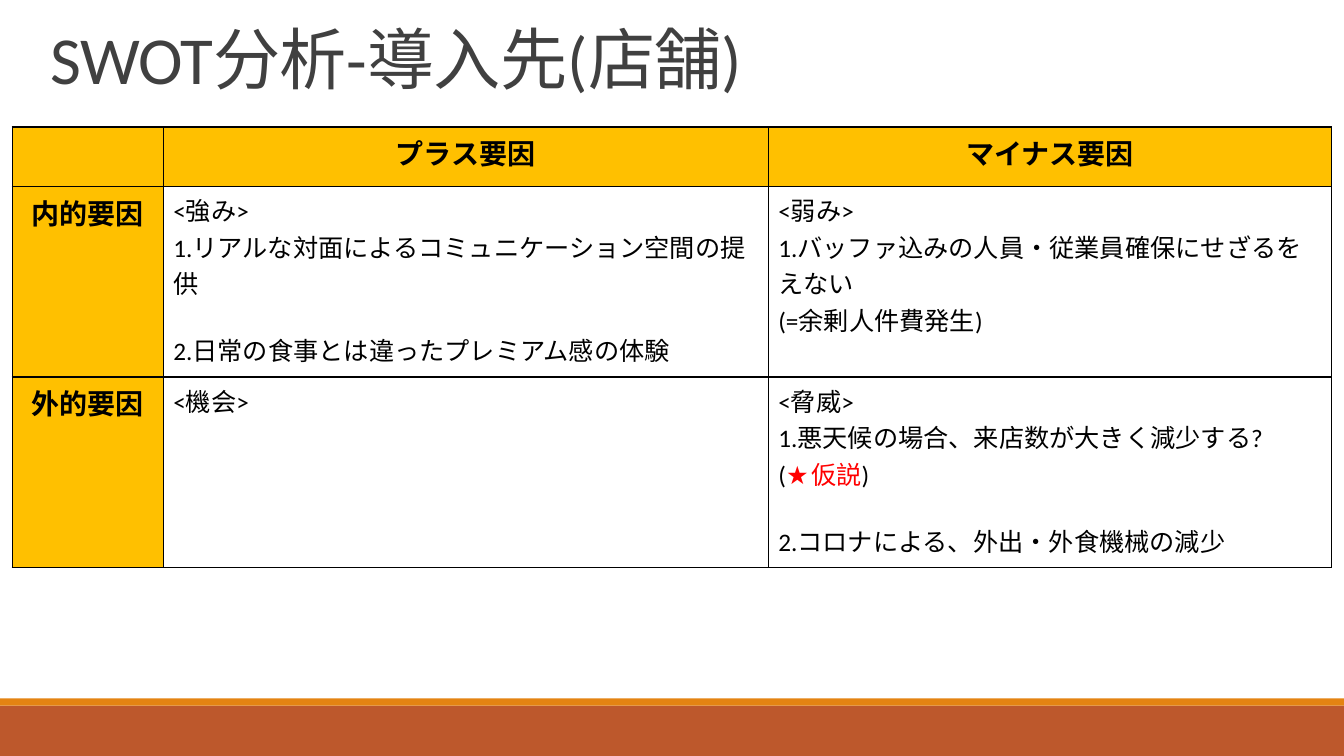
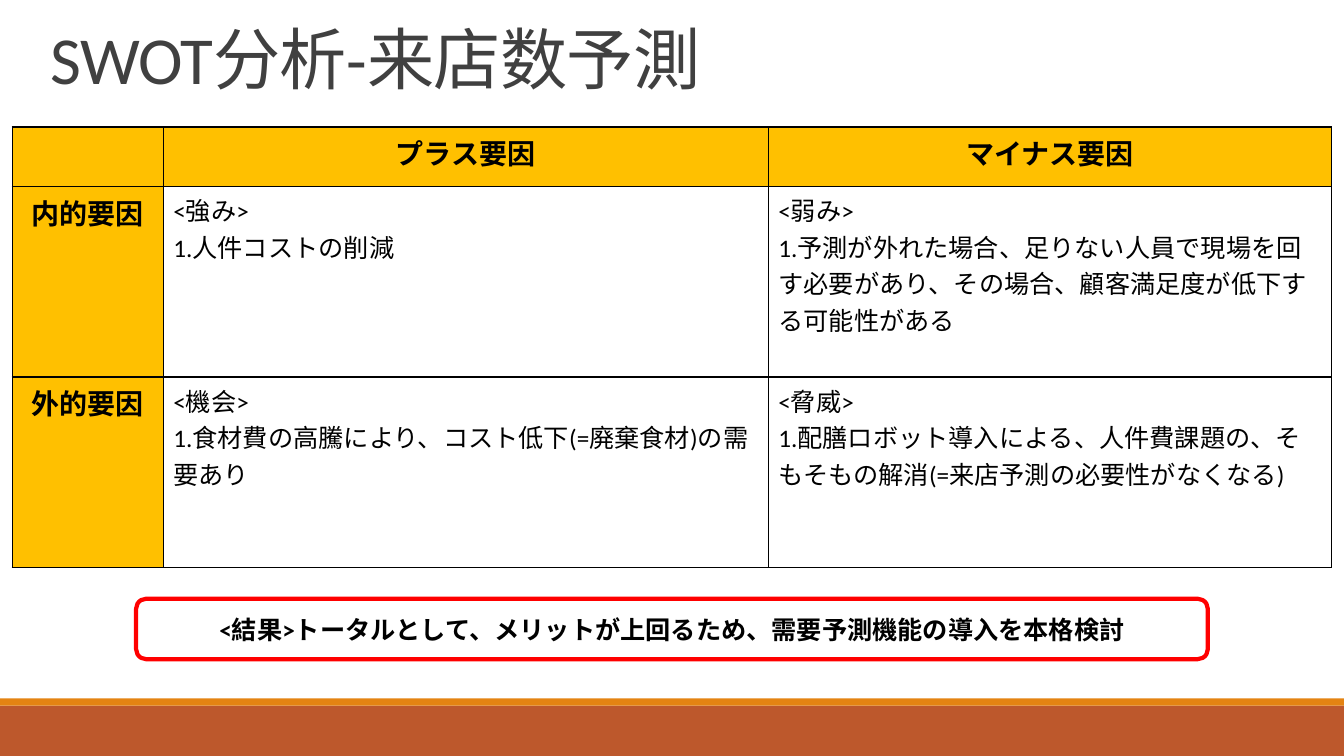
"""Build two SWOT analysis slides with a shared master, title style and table."""
import pptx
import pptx.dml.color
import pptx.enum.shapes
import pptx.enum.text
import pptx.oxml
import pptx.oxml.ns
import pptx.util

Inches = pptx.util.Inches
Pt = pptx.util.Pt
RGBColor = pptx.dml.color.RGBColor
Shape = pptx.enum.shapes.MSO_SHAPE
Align = pptx.enum.text.PP_ALIGN
Anchor = pptx.enum.text.MSO_ANCHOR

FONT = "Calibri"
BLACK = RGBColor(0x00, 0x00, 0x00)
WHITE = RGBColor(0xFF, 0xFF, 0xFF)
RED = RGBColor(0xFF, 0x00, 0x00)
GOLD = RGBColor(0xFF, 0xC0, 0x00)
TITLE_GRAY = RGBColor(0x40, 0x40, 0x40)
RUST = RGBColor(0xBD, 0x58, 0x2C)
ORANGE = RGBColor(0xE4, 0x83, 0x12)

SLIDE_WIDTH, SLIDE_HEIGHT = 13.33, 7.5
BANDS = [(7, 0.5, RUST), (6.93, 0.07, ORANGE)]
COLUMN_WIDTHS = [1.5, 6, 5.59]
ROW_HEIGHTS = [0.59, 1.89, 1.89]
COLUMN_HEADS = ["", "プラス要因", "マイナス要因"]
ROW_HEADS = ["内的要因", "外的要因"]

STORE_FACTORS = [
    [
        [["<強み>"],
         ["1.リアルな対面によるコミュニケーション空間の提供"],
         ["2.日常の食事とは違ったプレミアム感の体験"]],
        [["<弱み>"],
         ["1.バッファ込みの人員・従業員確保にせざるをえない"],
         ["(=余剰人件費発生)"]],
    ],
    [
        [["<機会>"]],
        [["<脅威>"],
         ["1.悪天候の場合、来店数が大きく減少する?"],
         ["(", "★仮説", ")"],
         ["2.コロナによる、外出・外食機械の減少"]],
    ],
]
FORECAST_FACTORS = [
    [
        [["<強み>"],
         ["1.人件コストの削減"]],
        [["<弱み>"],
         ["1.予測が外れた場合、足りない人員で現場を回す必要があり、"
          "その場合、顧客満足度が低下する可能性がある"]],
    ],
    [
        [["<機会>"],
         ["1.食材費の高騰により、コスト低下(=廃棄食材)の需要あり"]],
        [["<脅威>"],
         ["1.配膳ロボット導入による、人件費課題の、"
          "そもそもの解消(=来店予測の必要性がなくなる)"]],
    ],
]
CONCLUSION = "<結果>トータルとして、メリットが上回るため、需要予測機能の導入を本格検討"


def style_span(span, size, color=BLACK, bold=False):
    """Give one run its font, size, colour and weight."""
    span.font.name = FONT
    span.font.size = Pt(size)
    span.font.color.rgb = color
    span.font.bold = bold


def add_box(page, shape_kind, left, top, width, height, fill):
    """Add a flat filled shape without an outline."""
    box = page.shapes.add_shape(
        shape_kind, Inches(left), Inches(top), Inches(width), Inches(height))
    box.shadow.inherit = False
    box.fill.solid()
    box.fill.fore_color.rgb = fill
    box.line.fill.background()
    return box


def move_bands_to_master(deck, page):
    """Draw the bottom bands and place them behind everything on the master."""
    tree = deck.slide_master.shapes.element
    for number, (top, height, color) in enumerate(BANDS):
        band = add_box(page, Shape.RECTANGLE, 0, top, SLIDE_WIDTH, height, color)
        band.element.nvSpPr.cNvPr.set("id", str(100 + number))
        tree.insert(2 + number, band.element)


def set_title(page, text, width):
    """Move, fill and format the title placeholder."""
    title = page.shapes.title
    title.left, title.top = Inches(0.4), Inches(0.24)
    title.width, title.height = Inches(width), Inches(1.14)
    frame = title.text_frame
    frame.text = text
    frame.vertical_anchor = Anchor.TOP
    frame.auto_size = pptx.enum.text.MSO_AUTO_SIZE.NONE
    para = frame.paragraphs[0]
    para.alignment = Align.LEFT
    para.line_spacing = 0.85
    span = para.runs[0]
    style_span(span, 48, TITLE_GRAY)
    span.font._element.set("spc", "-50")


def set_borders(cell):
    """Draw a one point black line on every side of a cell."""
    properties = cell._tc.get_or_add_tcPr()
    for side in ("lnL", "lnR", "lnT", "lnB"):
        properties.append(pptx.oxml.parse_xml(
            f'<a:{side} {pptx.oxml.ns.nsdecls("a")} w="{Pt(1)}">'
            f'<a:solidFill><a:srgbClr val="{BLACK}"/></a:solidFill></a:{side}>'))


def fill_head(cell, text):
    """Write a centred bold heading cell."""
    cell.text_frame.text = text
    para = cell.text_frame.paragraphs[0]
    para.alignment = Align.CENTER
    for span in para.runs:
        style_span(span, 20, bold=True)


def fill_factors(cell, lines):
    """Write factor lines, with a gap before later items and red hypotheses."""
    frame = cell.text_frame
    for index, pieces in enumerate(lines):
        para = frame.add_paragraph() if index else frame.paragraphs[0]
        if pieces[0].startswith("2."):
            para.space_before = Pt(22)
        for piece in pieces:
            span = para.add_run()
            span.text = piece
            style_span(span, 18, RED if piece.startswith("★") else BLACK)


def add_swot_table(page, factors):
    """Add the two-by-two factor table with its headings."""
    table = page.shapes.add_table(
        len(ROW_HEIGHTS), len(COLUMN_WIDTHS), Inches(0.12), Inches(1.26),
        Inches(sum(COLUMN_WIDTHS)), Inches(sum(ROW_HEIGHTS))).table
    table.first_row = table.horz_banding = False
    for column, width in zip(table.columns, COLUMN_WIDTHS):
        column.width = Inches(width)
    for row_index, height in enumerate(ROW_HEIGHTS):
        table.rows[row_index].height = Inches(height)
        for column_index in range(len(COLUMN_WIDTHS)):
            cell = table.cell(row_index, column_index)
            is_head = row_index == 0 or column_index == 0
            set_borders(cell)
            cell.fill.solid()
            cell.fill.fore_color.rgb = GOLD if is_head else WHITE
            if row_index == 0:
                fill_head(cell, COLUMN_HEADS[column_index])
            elif column_index == 0:
                fill_head(cell, ROW_HEADS[row_index - 1])
            else:
                fill_factors(cell, factors[row_index - 1][column_index - 1])


def add_conclusion(page, text):
    """Add the red outlined conclusion box."""
    box = add_box(page, Shape.ROUNDED_RECTANGLE, 1.35, 5.94, 10.63, 0.6, WHITE)
    box.line.color.rgb = RED
    box.line.width = Pt(3)
    frame = box.text_frame
    frame.text = text
    frame.word_wrap = True
    frame.vertical_anchor = Anchor.MIDDLE
    frame.paragraphs[0].alignment = Align.CENTER
    style_span(frame.paragraphs[0].runs[0], 18, bold=True)


def add_swot_page(deck, title, title_width, factors):
    """Add a slide with a title and its SWOT table."""
    page = deck.slides.add_slide(deck.slide_layouts.get_by_name("Title Only"))
    set_title(page, title, title_width)
    add_swot_table(page, factors)
    return page


def main():
    """Build and save the deck."""
    deck = pptx.Presentation()
    deck.slide_width, deck.slide_height = Inches(SLIDE_WIDTH), Inches(SLIDE_HEIGHT)
    store_page = add_swot_page(deck, "SWOT分析-導入先(店舗)", 11, STORE_FACTORS)
    move_bands_to_master(deck, store_page)
    forecast_page = add_swot_page(
        deck, "SWOT分析-来店数予測", 12.34, FORECAST_FACTORS)
    add_conclusion(forecast_page, CONCLUSION)
    deck.save("out.pptx")


if __name__ == "__main__":
    main()
